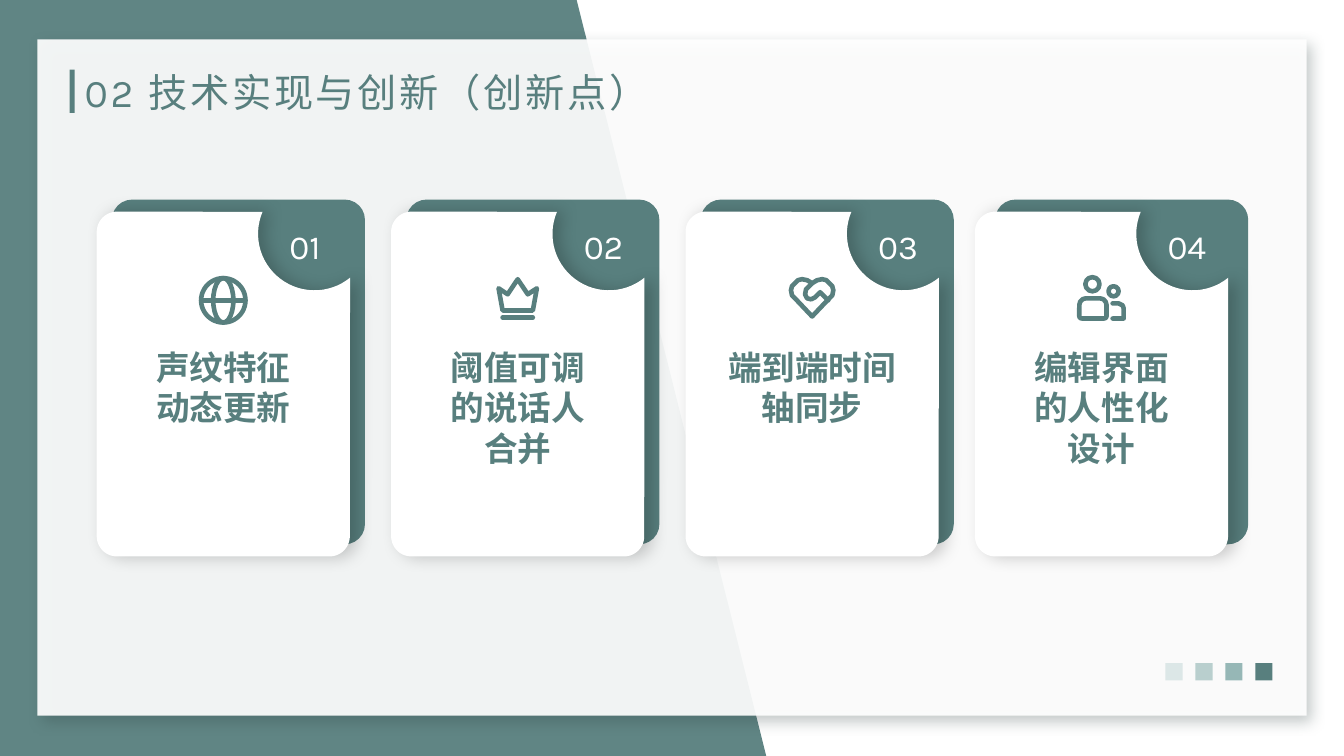
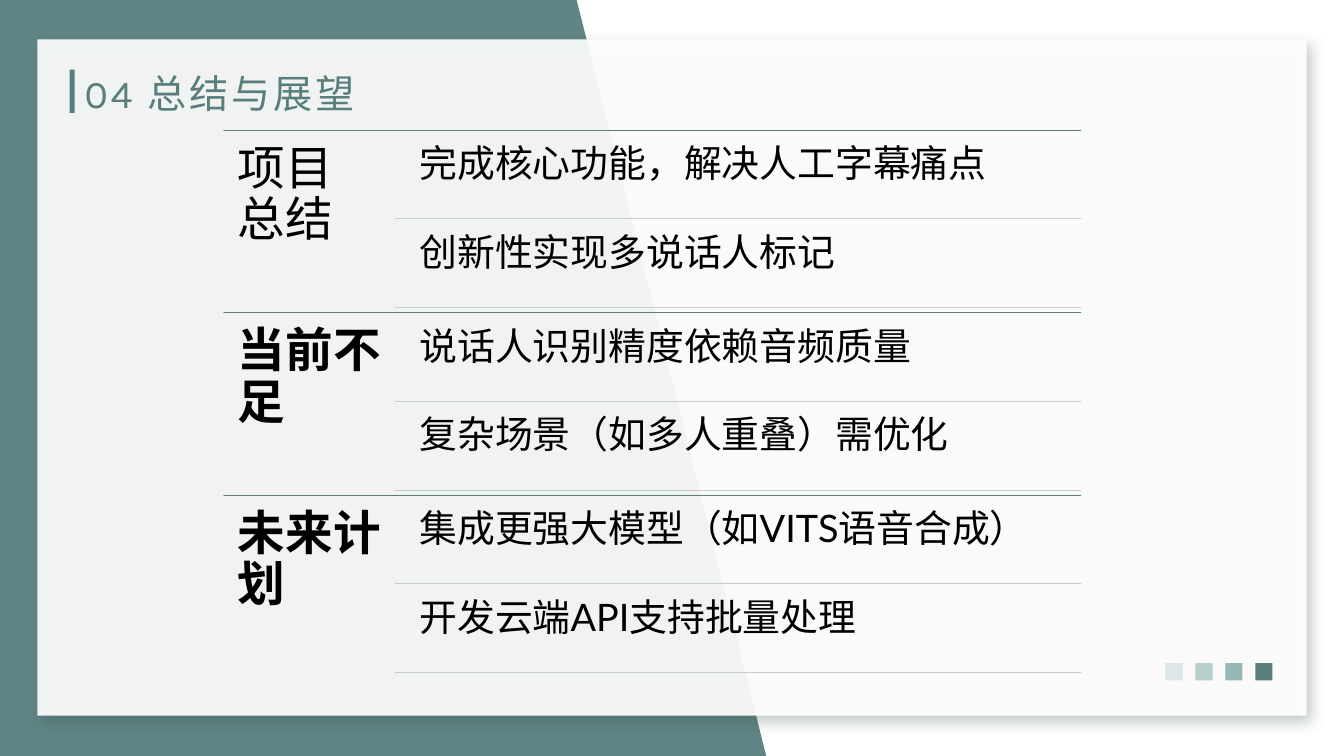
from dataclasses import dataclass
from math import cos, radians, sin

from lxml import etree
from pptx import Presentation
from pptx.dml.color import RGBColor
from pptx.enum.shapes import MSO_CONNECTOR, MSO_SHAPE
from pptx.enum.text import MSO_ANCHOR, PP_ALIGN
from pptx.oxml.ns import qn
from pptx.util import Inches, Pt

RECTANGLE = MSO_SHAPE.RECTANGLE
ROUNDED = MSO_SHAPE.ROUNDED_RECTANGLE
ROUND_TOP = MSO_SHAPE.ROUND_2_SAME_RECTANGLE
OVAL = MSO_SHAPE.OVAL
STRAIGHT = MSO_CONNECTOR.STRAIGHT
LEFT, CENTER = PP_ALIGN.LEFT, PP_ALIGN.CENTER
TOP, MIDDLE = MSO_ANCHOR.TOP, MSO_ANCHOR.MIDDLE


@dataclass(frozen=True)
class Theme:
    teal: str = "587F7E"
    white: str = "FFFFFF"
    black: str = "000000"
    divider: str = "C4CCCC"
    squares: tuple = ("DCE7E7", "B9CFCE", "96B7B6", "587F7E")
    # Shadows: colour, opacity in percent, blur and distance in points, angle
    panel_shadow: tuple = ("2C403F", 30, 10, 6, 45)
    card_shadow: tuple = ("000000", 20, 12, 5, 0)
    title_font: str = "Karla"
    body_font: str = "Lato"
    title_size: int = 28
    card_size: int = 24
    topic_size: int = 34
    point_size: int = 27
    rule_width: float = 0.5
    icon_width: float = 3.3


theme = Theme()


def paint(shape, fill=None, opacity=100, line=None, line_width=0, shadow=None):
    """Set fill, line and shadow of a shape, or the line of a connector."""
    properties = shape._element.spPr
    if fill:
        shape.fill.solid()
        shape.fill.fore_color.rgb = RGBColor.from_string(fill)
        if opacity < 100:
            color = properties.find(qn("a:solidFill"))[0]
            etree.SubElement(color, qn("a:alpha"), val=str(opacity * 1000))
    elif hasattr(shape, "fill"):
        shape.fill.background()
    if line:
        shape.line.color.rgb = RGBColor.from_string(line)
        shape.line.width = Pt(line_width)
        outline = properties.find(qn("a:ln"))
        outline.set("cap", "rnd")
        etree.SubElement(outline, qn("a:round"))
    else:
        shape.line.fill.background()
    effects = etree.SubElement(properties, qn("a:effectLst"))
    if shadow:
        color, shadow_opacity, blur, distance, angle = shadow
        outer = etree.SubElement(
            effects, qn("a:outerShdw"), blurRad=str(Pt(blur)), dist=str(Pt(distance)),
            dir=str(angle * 60000), algn="ctr", rotWithShape="0")
        tint = etree.SubElement(outer, qn("a:srgbClr"), val=color)
        etree.SubElement(tint, qn("a:alpha"), val=str(shadow_opacity * 1000))


def add_text(slide, box, text, size, font, color, bold=False, align=LEFT,
             anchor=TOP, insets=(0, 0, 0, 0), line_spacing=1.0, tracking=0):
    """Add a one-paragraph text box; box and insets are in inches."""
    frame = slide.shapes.add_textbox(*map(Inches, box)).text_frame
    frame.word_wrap = True
    frame.vertical_anchor = anchor
    (frame.margin_left, frame.margin_top,
     frame.margin_right, frame.margin_bottom) = map(Inches, insets)
    frame.text = text
    paragraph = frame.paragraphs[0]
    paragraph.alignment = align
    paragraph.line_spacing = line_spacing
    run = paragraph.runs[0]
    run.font.size = Pt(size)
    run.font.name = font
    run.font.bold = bold
    run.font.color.rgb = RGBColor.from_string(color)
    if tracking:
        run._r.get_or_add_rPr().set("spc", str(tracking * 100))


presentation = Presentation()
presentation.slide_width = Inches(13.33)
presentation.slide_height = Inches(7.5)
blank_layout = presentation.slide_layouts[6]

# Shared frame: slanted backdrop, panel, corner squares and title
slides = []
for title, title_top in (("02 技术实现与创新（创新点）", 0.62), ("04 总结与展望", 0.63)):
    slide = presentation.slides.add_slide(blank_layout)
    slides.append(slide)

    backdrop = slide.shapes.add_shape(
        RECTANGLE, Inches(3.04), 0, Inches(10.29), Inches(7.5))
    paint(backdrop, theme.white, opacity=95)

    builder = slide.shapes.build_freeform(0, 0)
    builder.add_line_segments(
        [(Inches(x), Inches(y)) for x, y in ((5.72, 0), (7.6, 7.5), (0, 7.5))])
    paint(builder.convert_to_shape(), theme.teal, opacity=95)

    panel = slide.shapes.add_shape(
        RECTANGLE, Inches(0.37), Inches(0.39), Inches(12.59), Inches(6.71))
    paint(panel, theme.white, opacity=92, shadow=theme.panel_shadow)

    for index, color in enumerate(theme.squares):
        square = slide.shapes.add_shape(
            RECTANGLE, Inches(11.56 + 0.297 * index), Inches(6.58),
            Inches(0.17), Inches(0.17))
        paint(square, color)

    title_bar = slide.shapes.add_shape(
        RECTANGLE, Inches(0.69), Inches(0.69), Inches(0.05), Inches(0.43))
    paint(title_bar, theme.teal)
    add_text(slide, (0.74, title_top, 5.92, 0.58), title, theme.title_size,
             theme.title_font, theme.teal, anchor=MIDDLE,
             insets=(0.1, 0.05, 0.1, 0.05), tracking=2)

innovation_slide, outlook_slide = slides

# Innovation slide: four notched cards, each with number, icon and label
CARD_TOP, CARD_WIDTH, CARD_HEIGHT = 2.1, 2.51, 3.42
CORNER = 0.2
ICON_MIDDLE = 2.98

# Arcs of the card outline: centre x, centre y, radius, start and end angle
card_arcs = (
    (CORNER, CORNER, CORNER, 180, 270),
    (2.16, 0.22, 0.56, 203, 51),
    (CARD_WIDTH - CORNER, CARD_HEIGHT - CORNER, CORNER, 0, 90),
    (CORNER, CARD_HEIGHT - CORNER, CORNER, 90, 180),
)
ARC_STEPS = 30
card_outline = [
    (x + radius * cos(radians(start + (end - start) * step / ARC_STEPS)),
     y + radius * sin(radians(start + (end - start) * step / ARC_STEPS)))
    for x, y, radius, start, end in card_arcs
    for step in range(ARC_STEPS + 1)
]

# Icon parts are measured from the icon centre; presets give left, top, width, height
half_heart = [(0, 0.16), (-0.17, -0.02), (-0.2, -0.05), (-0.21, -0.1), (-0.2, -0.14),
              (-0.17, -0.17), (-0.14, -0.2), (-0.1, -0.21), (-0.05, -0.2), (0, -0.17)]
heart = half_heart + [(-x, y) for x, y in reversed(half_heart[1:-1])]
handshake = [(0, -0.17), (-0.06, -0.11), (-0.07, -0.06), (-0.05, -0.02),
             (-0.01, -0.01), (0.03, -0.03), (0.08, -0.08), (0.16, 0)]
crown = [(-0.19, -0.12), (-0.1, -0.06), (0, -0.21), (0.1, -0.06), (0.19, -0.12),
         (0.15, 0.1), (-0.15, 0.1)]
second_body = [(0.11, 0.03), (0.17, 0.03), (0.21, 0.05), (0.22, 0.08),
               (0.22, 0.18), (0.11, 0.18)]
globe_icon = [(OVAL, (-0.22, -0.22, 0.44, 0.44)), (OVAL, (-0.1, -0.22, 0.2, 0.44)),
              ("line", [(-0.22, 0), (0.22, 0)])]
crown_icon = [("closed", crown), ("line", [(-0.15, 0.17), (0.15, 0.17)])]
heart_icon = [("closed", heart), ("open", handshake)]
people_icon = [(OVAL, (-0.16, -0.23, 0.14, 0.14)), (OVAL, (0.07, -0.14, 0.1, 0.1)),
               (ROUND_TOP, (-0.22, -0.02, 0.27, 0.2)), ("open", second_body)]

# Left edge, label, label width, icon
cards = (
    (0.96, "声纹特征动态更新", 1.4, globe_icon),
    (3.88, "阈值可调的说话人合并", 1.4, crown_icon),
    (6.8, "端到端时间轴同步", 1.7, heart_icon),
    (9.67, "编辑界面的人性化设计", 1.4, people_icon),
)
shapes = innovation_slide.shapes
for index, (left, label, label_width, icon) in enumerate(cards):
    back = shapes.add_shape(
        ROUNDED, Inches(1.11 + 2.92 * index), Inches(1.98),
        Inches(CARD_WIDTH), Inches(CARD_HEIGHT))
    back.adjustments[0] = 0.08
    paint(back, theme.teal)

    points = [(Inches(left + x), Inches(CARD_TOP + y)) for x, y in card_outline]
    builder = shapes.build_freeform(*points[0])
    builder.add_line_segments(points[1:])
    paint(builder.convert_to_shape(), theme.white, shadow=theme.card_shadow)

    add_text(innovation_slide, (left + 1.91, 2.24, 0.47, 0.4), f"{index + 1:02}",
             theme.card_size, theme.title_font, theme.white)

    middle = left + CARD_WIDTH / 2
    for kind, geometry in icon:
        if kind in (OVAL, ROUND_TOP):
            x, y, width, height = geometry
            part = shapes.add_shape(
                kind, Inches(middle + x), Inches(ICON_MIDDLE + y),
                Inches(width), Inches(height))
            if kind == ROUND_TOP:
                part.adjustments[0] = 0.33
                part.adjustments[1] = 0.12
        else:
            points = [(Inches(middle + x), Inches(ICON_MIDDLE + y)) for x, y in geometry]
            if kind == "line":
                part = shapes.add_connector(STRAIGHT, *points[0], *points[1])
            else:
                builder = shapes.build_freeform(*points[0])
                builder.add_line_segments(points[1:], close=kind == "closed")
                part = builder.convert_to_shape()
        paint(part, line=theme.teal, line_width=theme.icon_width)

    add_text(innovation_slide, (middle - label_width / 2, 3.44, label_width, 1.21),
             label, theme.card_size, theme.body_font, theme.teal, bold=True, align=CENTER)

# Outlook slide: three topics with two ruled points each
TOPIC_LEFT, POINT_LEFT, RULE_LEFT, RIGHT = 2.22, 4.05, 3.92, 10.72
FIRST_TOP, TOPIC_HEIGHT, POINT_HEIGHT = 1.29, 1.81, 0.84
topics = (
    ("项目 总结", False, ("完成核心功能，解决人工字幕痛点", "创新性实现多说话人标记")),
    ("当前不足", True, ("说话人识别精度依赖音频质量", "复杂场景（如多人重叠）需优化")),
    ("未来计划", True, ("集成更强大模型（如VITS语音合成）", "开发云端API支持批量处理")),
)
for index, (topic, bold, topic_points) in enumerate(topics):
    top = FIRST_TOP + TOPIC_HEIGHT * index
    rules = [(TOPIC_LEFT, top, theme.teal)]
    add_text(outlook_slide, (TOPIC_LEFT, top, 1.7, TOPIC_HEIGHT), topic,
             theme.topic_size, theme.body_font, theme.black, bold=bold,
             insets=(0.14, 0.14, 0.1, 0.14), line_spacing=0.9)
    for row, point in enumerate(topic_points):
        point_top = top + 0.04 + 0.88 * row
        add_text(outlook_slide, (POINT_LEFT, point_top, RIGHT - POINT_LEFT, POINT_HEIGHT),
                 point, theme.point_size, theme.body_font, theme.black,
                 insets=(0.11, 0.11, 0.11, 0.11), line_spacing=0.9)
        rules.append((RULE_LEFT, point_top + POINT_HEIGHT, theme.divider))
    for rule_left, rule_top, color in rules:
        rule = outlook_slide.shapes.add_connector(
            STRAIGHT, Inches(rule_left), Inches(rule_top), Inches(RIGHT), Inches(rule_top))
        paint(rule, line=color, line_width=theme.rule_width)

presentation.save("out.pptx")
